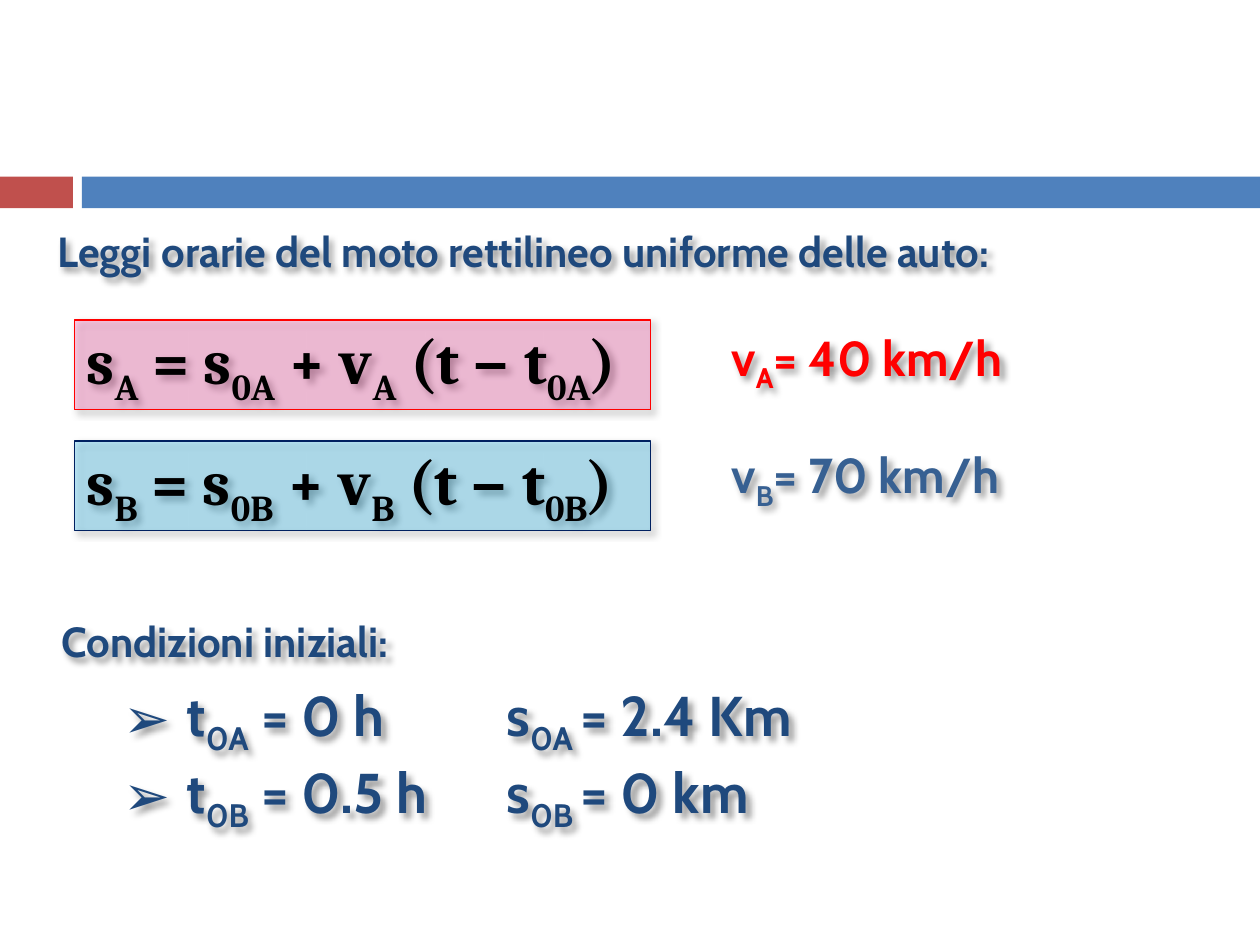
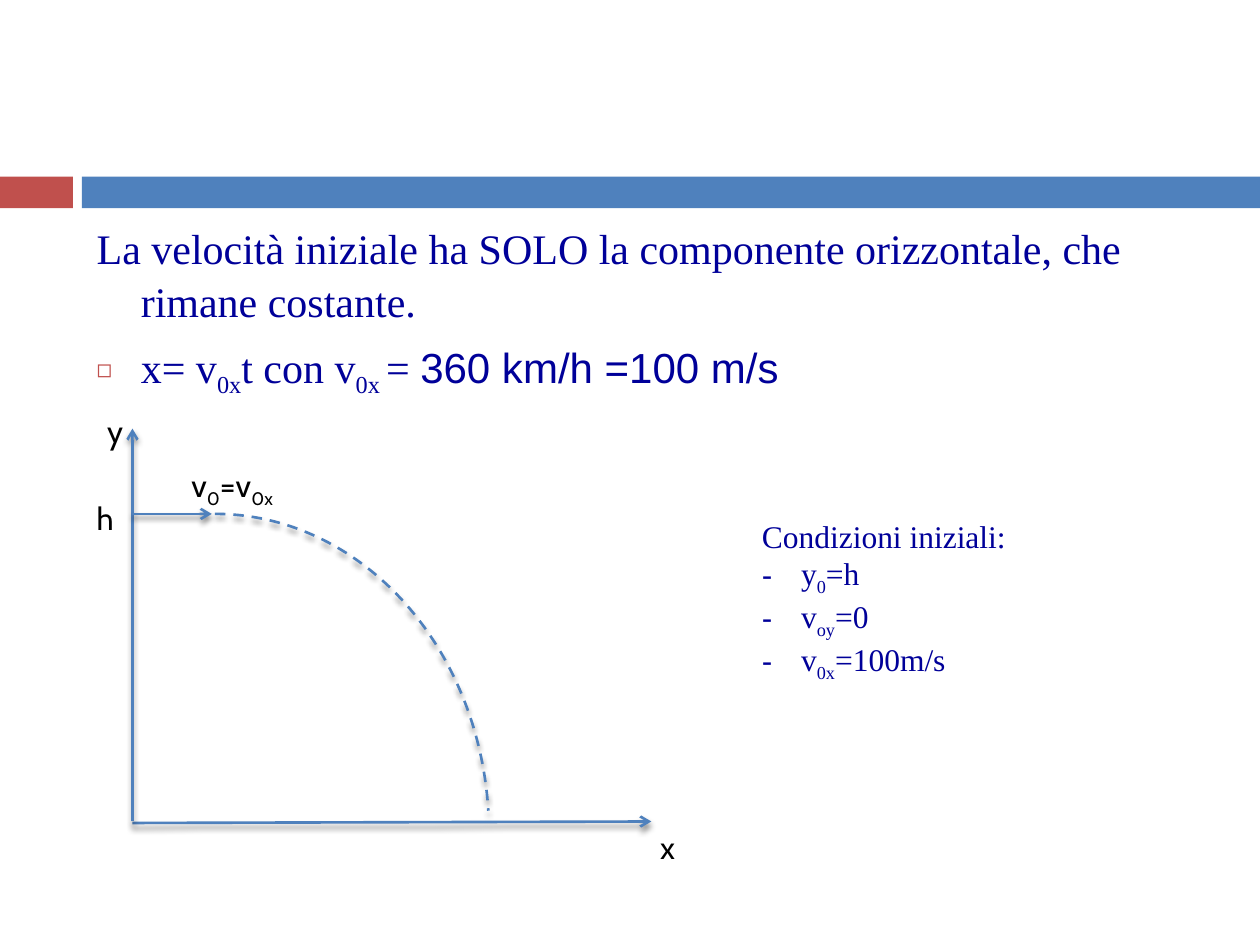
from dataclasses import dataclass, field

from lxml import etree
from pptx import Presentation
from pptx import util as u
from pptx.dml.color import RGBColor
from pptx.enum import dml, shapes, text
from pptx.oxml import ns

# Colours and fonts
RED = RGBColor(0xC0, 0x50, 0x4D)
BLUE = RGBColor(0x4F, 0x81, 0xBD)
NAVY = RGBColor(0x1F, 0x49, 0x7D)
INK = RGBColor(0x00, 0x00, 0x99)
BLACK = RGBColor(0, 0, 0)
CAR_A = RGBColor(0xFF, 0, 0)
CAR_B = RGBColor(0x37, 0x60, 0x92)
PINK = RGBColor(0xFF, 0x33, 0x99)
SKY = RGBColor(0x00, 0xB0, 0xF0)
EDGE_B = RGBColor(0x00, 0x20, 0x60)
SANS, MATH, SERIF, PLAIN = "Cabin", "Cambria", "Times New Roman", "Arial"

MIDDLE = text.MSO_ANCHOR.MIDDLE
RECT = shapes.MSO_SHAPE.RECTANGLE
Box = tuple[float, float, float, float]


@dataclass(frozen=True)
class Style:
    font: str
    size: float
    color: RGBColor
    bold: bool = False


@dataclass(frozen=True)
class Shade:
    alpha: int
    blur: float
    dist: float
    angle: int


@dataclass(frozen=True)
class Para:
    """One paragraph; text between underscores is set as a subscript."""
    words: str
    bullet: str = ""
    hang: float = 0
    tab: float = 0
    tail: str = ""
    small: bool = False


@dataclass(frozen=True)
class Note:
    box: Box
    style: Style
    paras: list[Para] = field(default_factory=list)
    format: dict = field(default_factory=dict)
    shade: Shade | None = None


SOFT = Shade(40, 4, 3, 45)
DROP = Shade(45, 3, 2.4, 90)
HEAD = Style(SANS, 24, NAVY, True)
LAW = Style(MATH, 36, BLACK, True)
FACT = Style(SANS, 32, NAVY, True)
LABEL = Style(SANS, 18, BLACK)
BODY = Style(SERIF, 24, INK)
SIDE = Style(SERIF, 18, INK)
GROW = {"auto_size": text.MSO_AUTO_SIZE.SHAPE_TO_FIT_TEXT}
MID = GROW | {"vertical_anchor": MIDDLE}


# XML helpers
def node(parent, tag: str, **attrs):
    return etree.SubElement(parent, ns.qn(tag), {k: str(v) for k, v in attrs.items()})


def cast(shape, shade: Shade) -> None:
    """Give a shape a blurred outer shadow."""
    effects = node(shape._element.spPr, "a:effectLst")
    outer = node(effects, "a:outerShdw", blurRad=u.Pt(shade.blur), dist=u.Pt(shade.dist),
                 dir=shade.angle * 60000, algn="tl", rotWithShape=0)
    node(node(outer, "a:srgbClr", val=BLACK), "a:alpha", val=shade.alpha * 1000)


def indent(para, item: Para) -> None:
    """Set the hanging indent, bullet and tab stop."""
    props = para._p.get_or_add_pPr()
    if item.hang:
        props.set("marL", str(u.Cm(item.hang)))
        props.set("indent", str(-u.Cm(item.hang)))
    if item.small:
        node(node(props, "a:buClr"), "a:srgbClr", val=RED)
        node(props, "a:buSzPct", val=60000)
    if item.bullet:
        node(props, "a:buFont", typeface=PLAIN)
        node(props, "a:buChar", char=item.bullet)
    else:
        node(props, "a:buNone")
    if item.tab:
        node(node(props, "a:tabLst"), "a:tab", pos=u.Cm(item.tab), algn="l")


# Text
def add_run(para, words: str, style: Style, font: str = "", sub: bool = False) -> None:
    run = para.add_run()
    run.text = words
    looks = {"name": font or style.font, "size": u.Pt(style.size), "bold": style.bold}
    for key, val in looks.items():
        setattr(run.font, key, val)
    run.font.color.rgb = style.color
    if sub:
        run.font._element.set("baseline", "-25000")


def write(frame, paras: list[Para], style: Style, spacing: dict | None = None) -> None:
    for n, item in enumerate(paras):
        para = frame.add_paragraph() if n else frame.paragraphs[0]
        looks = {"alignment": text.PP_ALIGN.LEFT} | (spacing or {})
        for key, val in looks.items():
            setattr(para, key, val)
        indent(para, item)
        for k, part in enumerate(item.words.split("_")):
            if part:
                add_run(para, part, style, sub=k % 2 == 1)
        if item.tail:
            add_run(para, item.tail, style, PLAIN)


def add_note(slide, note: Note, spacing: dict | None = None) -> None:
    shape = slide.shapes.add_textbox(*map(u.Cm, note.box))
    for key, val in ({"word_wrap": True} | note.format).items():
        setattr(shape.text_frame, key, val)
    write(shape.text_frame, note.paras, note.style, spacing)
    if note.shade:
        cast(shape, note.shade)


# Shapes
def add_band(slide, box: Box, color: RGBColor) -> None:
    band = slide.shapes.add_shape(RECT, *map(u.Cm, box))
    band.shadow.inherit = False
    band.fill.solid()
    band.fill.fore_color.rgb = color
    band.line.fill.background()


def add_law(slide, top: float, car: str, fill: RGBColor, edge: RGBColor) -> None:
    """Draw the framed law of motion of one car."""
    law = slide.shapes.add_shape(RECT, *map(u.Cm, (1.5, top, 11.61, 1.8)))
    law.fill.solid()
    law.fill.fore_color.rgb = fill
    node(law.fill._xPr.find(".//" + ns.qn("a:srgbClr")), "a:alpha", val=25000)
    law.line.color.rgb = edge
    law.line.width = u.Pt(0.75)
    for key, val in (MID | {"word_wrap": True}).items():
        setattr(law.text_frame, key, val)
    words = f"s_{car}_ = s_0{car}_ + v_{car}_ (t − t_0{car}_)"
    write(law.text_frame, [Para(words)], LAW)
    cast(law, SOFT)


def stroke(shape) -> None:
    shape.line.color.rgb = BLUE
    shape.line.width = u.Pt(1.5)


def add_arrow(slide, ends: Box) -> None:
    arrow = slide.shapes.add_connector(shapes.MSO_CONNECTOR.STRAIGHT, *map(u.Cm, ends))
    stroke(arrow)
    node(arrow.line._get_or_add_ln(), "a:tailEnd", type="arrow")
    cast(arrow, DROP)


def add_path(slide) -> None:
    """Draw the dashed path of the falling body."""
    arc = slide.shapes.add_shape(shapes.MSO_SHAPE.ARC, *map(u.Cm, (-1.19, 10.36, 11.05, 12.88)))
    arc.adjustments[0], arc.adjustments[1] = 162, 213.16
    arc.fill.background()
    stroke(arc)
    arc.line.dash_style = dml.MSO_LINE.DASH
    cast(arc, DROP)


def new_slide(deck):
    slide = deck.slides.add_slide(deck.slide_layouts[6])
    add_band(slide, (0, 3.56, 1.47, 0.64), RED)
    add_band(slide, (1.65, 3.56, 23.75, 0.64), BLUE)
    return slide


# Slides
def cars(deck) -> None:
    slide = new_slide(deck)
    add_law(slide, 6.45, "A", PINK, CAR_A)
    add_law(slide, 8.89, "B", SKY, EDGE_B)
    facts = ["t_0A_ = 0 h\ts_0A _= 2.4 Km", "t_0B_ = 0.5 h\ts_0B _= 0 km"]
    notes = [
        Note((0.91, 4.42, 22.99, 1.27), HEAD,
             [Para("Leggi orarie del moto rettilineo uniforme delle auto:")], GROW, SOFT),
        Note((0.99, 12.29, 9.91, 1.27), HEAD, [Para("Condizioni iniziali:")], MID, SOFT),
        Note((2.24, 13.77, 15.88, 3), FACT,
             [Para(f, "➢", 1.27, 7.72) for f in facts], MID, SOFT),
    ]
    speeds = [(6.55, "v_A_= 40 km/h", CAR_A), (8.92, "v_B_= 70 km/h", CAR_B)]
    for top, words, color in speeds:
        notes.append(Note((14.5, top, 7.67, 1.45), Style(SANS, 28, color, True),
                          [Para(words)], MID, SOFT))
    for note in notes:
        add_note(slide, note)


def fall(deck) -> None:
    slide = new_slide(deck)
    lead = "La velocità iniziale ha SOLO la componente orizzontale, che rimane costante."
    body = Note((1.7, 4.32, 22.66, 4.93), BODY, [
        Para(lead, hang=0.89),
        Para("x= v_0x_t con v_0x _= ", "◻", 0.89, tail="360 km/h =100 m/s", small=True),
    ])
    add_note(slide, body, {"space_before": u.Pt(7), "line_spacing": 1.05})

    # Axes and starting velocity
    for ends in [(2.67, 16.59, 13.13, 16.56), (2.67, 16.56, 2.67, 8.64),
                 (2.67, 10.36, 4.27, 10.36)]:
        add_arrow(slide, ends)
    labels = [(3.61, 9.27, 3.15, "v_0_=v_0x_"), (1.7, 9.93, 0.97, "h"),
              (1.91, 8.18, 0.97, "y"), (13.06, 16.56, 0.97, "x")]
    for left, top, width, words in labels:
        add_note(slide, Note((left, top, width, 1.02), LABEL, [Para(words)], GROW))
    add_path(slide)

    # Starting conditions
    starts = [Para(s, "-", 0.79) for s in ("y_0_=h", "v_oy_=0", "v_0x_=100m/s")]
    add_note(slide, Note((15.11, 10.29, 5.49, 3.33), SIDE,
                         [Para("Condizioni iniziali:"), *starts],
                         GROW | {"word_wrap": False}))


def main() -> None:
    deck = Presentation()
    deck.slide_width, deck.slide_height = u.Cm(25.4), u.Cm(19.05)
    cars(deck)
    fall(deck)
    deck.save("out.pptx")


if __name__ == "__main__":
    main()
